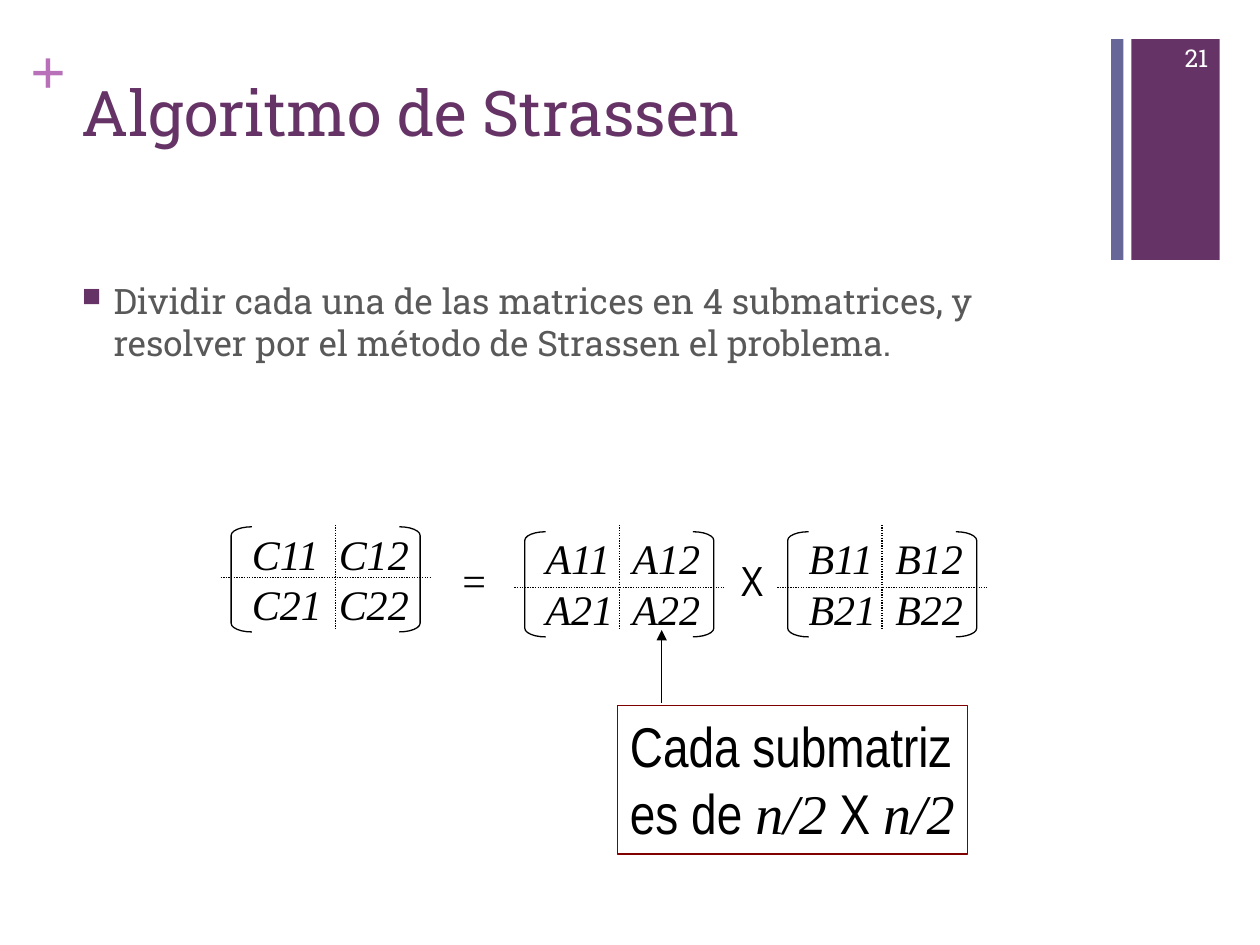
import pptx
import pptx.util
import pptx.dml.color
import pptx.enum.dml
import pptx.enum.shapes
import pptx.enum.text
import pptx.oxml.ns
import lxml.etree

Cm, Pt = pptx.util.Cm, pptx.util.Pt
Kind = pptx.enum.shapes.MSO_SHAPE
Align = pptx.enum.text.PP_ALIGN
Anchor = pptx.enum.text.MSO_ANCHOR
Dash = pptx.enum.dml.MSO_LINE
qn = pptx.oxml.ns.qn


class Theme:
    plum, blue, pink = "663366", "666699", "B870B8"
    gray, black, white, red = "595959", "000000", "FFFFFF", "800000"
    slab, serif, sans = "Roboto Slab", "Times New Roman", "Arial Narrow"
    head, note, math, body, small = 36, 32, 24, 20, 14
    thin = 0.75


def rgb(code):
    return pptx.dml.color.RGBColor.from_string(code)


def sub(node, tag, **attrs):
    return lxml.etree.SubElement(node, qn(tag), **attrs)


class Page:
    def __init__(self, deck, theme):
        self.theme = theme
        self.slide = deck.slides.add_slide(deck.slide_layouts[6])
        self.shapes = self.slide.shapes

    def style(self, run, size, font, color, bold=False, italic=False):
        run.font.size, run.font.name = Pt(size), font
        run.font.color.rgb = rgb(color)
        run.font.bold, run.font.italic = bold, italic

    def text(self, x, y, w, h, lines, size, font, color, wrap=True,
             align=Align.LEFT, anchor=Anchor.TOP, inset=None, **look):
        box = self.shapes.add_textbox(Cm(x), Cm(y), Cm(w), Cm(h))
        frame = box.text_frame
        frame.text = lines
        frame.word_wrap, frame.vertical_anchor = wrap, anchor
        if inset is not None:
            frame.margin_left = frame.margin_right = Cm(inset)
            frame.margin_top = frame.margin_bottom = Cm(inset)
        for para in frame.paragraphs:
            para.alignment = align
            for run in para.runs:
                self.style(run, size, font, color, **look)
        return box

    def shape(self, kind, x, y, w, h, fill=None, line=None):
        item = self.shapes.add_shape(kind, Cm(x), Cm(y), Cm(w), Cm(h))
        item.shadow.inherit = False
        if fill:
            item.fill.solid()
            item.fill.fore_color.rgb = rgb(fill)
        else:
            item.fill.background()
        if line:
            item.line.color.rgb = rgb(line)
            item.line.width = Pt(self.theme.thin)
        else:
            item.line.fill.background()
        return item

    def line(self, x1, y1, x2, y2, dash=None, arrow=False):
        item = self.shapes.add_connector(
            pptx.enum.shapes.MSO_CONNECTOR.STRAIGHT,
            Cm(x1), Cm(y1), Cm(x2), Cm(y2))
        item.line.color.rgb = rgb(self.theme.black)
        item.line.width = Pt(self.theme.thin)
        if dash:
            item.line.dash_style = dash
        if arrow:
            sub(item.line._get_or_add_ln(), "a:tailEnd", type="triangle")
        sub(item._element.spPr, "a:effectLst")

    def bullet(self, para, indent, color):
        props = para._p.get_or_add_pPr()
        props.set("marL", str(Cm(indent)))
        props.set("indent", str(-Cm(indent)))
        sub(sub(props, "a:buClr"), "a:srgbClr", val=color)
        sub(props, "a:buSzPct", val="75000")
        sub(props, "a:buChar", char="■")

    def matrix(self, name, x, y, mid, cross):
        """Two by two blocks in brackets; mid and cross place the dotted lines."""
        t = self.theme
        rows = "\n".join(f"{name}{i}1\t{name}{i}2" for i in (1, 2))
        box = self.text(x + 0.17, y - 0.1, 3.75, 2.29, rows,
                        t.math, t.serif, t.black, italic=True)
        box.text_frame.margin_right = 0
        for para in box.text_frame.paragraphs:
            tabs = sub(para._p.get_or_add_pPr(), "a:tabLst")
            sub(tabs, "a:tab", pos=str(Cm(1.75)), algn="l")
        for kind, left in ((Kind.LEFT_BRACKET, x), (Kind.RIGHT_BRACKET, x + 3.39)):
            side = self.shape(kind, left, y, 0.42, 2.12, line=t.black)
            side.adjustments[0] = 0.417
        self.line(mid, 10.58, mid, 12.7, Dash.ROUND_DOT)
        self.line(x - 0.21, cross, x + 4.02, cross, Dash.ROUND_DOT)


deck = pptx.Presentation()
deck.slide_width, deck.slide_height = Cm(25.4), Cm(19.05)
t = Theme()
page = Page(deck, t)

# Side bars, plus sign and page number
page.shape(Kind.RECTANGLE, 22.81, 0.79, 1.78, 4.45, fill=t.plum)
page.shape(Kind.RECTANGLE, 22.4, 0.79, 0.25, 4.45, fill=t.blue)
page.text(0.61, 0.64, 0.74, 1.55, "+", t.head, t.serif, t.pink,
          inset=0, bold=True)
page.text(23.06, 0.66, 1.55, 1.02, "21", t.small, t.slab, t.white,
          align=Align.RIGHT, anchor=Anchor.MIDDLE)

# Title and body
page.text(1.4, 1.35, 20.98, 3.1, "Algoritmo de Strassen",
          t.head, t.slab, t.plum)
body = page.text(1.4, 5.51, 20.98, 11.51,
                 "Dividir cada una de las matrices en 4 submatrices, y "
                 "resolver por el método de Strassen el problema.",
                 t.body, t.slab, t.gray)
para = body.text_frame.paragraphs[0]
para.space_before = Pt(20)
page.bullet(para, 0.64, t.plum)

# Matrix product
for name, x, y, mid, cross in (("C", 4.66, 10.62, 6.77, 11.64),
                               ("A", 10.58, 10.72, 12.49, 11.85),
                               ("B", 15.88, 10.72, 17.78, 11.85)):
    page.matrix(name, x, y, mid, cross)
for sign, x, font in (("=", 9.07, t.serif), ("X", 14.68, t.sans)):
    page.text(x, 11.05, 0.98, 1.27, sign, t.math, font, t.black, wrap=False)

# Note with arrow
note = page.text(12.45, 14.22, 7.06, 3, "Cada submatriz\nes de ",
                 t.note, t.sans, t.black, wrap=False)
note.line.color.rgb = rgb(t.red)
note.line.width = Pt(t.thin)
last = note.text_frame.paragraphs[1]
for word, font in (("n/2", t.serif), (" X ", t.sans), ("n/2", t.serif)):
    run = last.add_run()
    run.text = word
    page.style(run, t.note, font, t.black, italic=font == t.serif)
page.line(13.34, 14.17, 13.34, 12.7, arrow=True)

deck.save("out.pptx")
